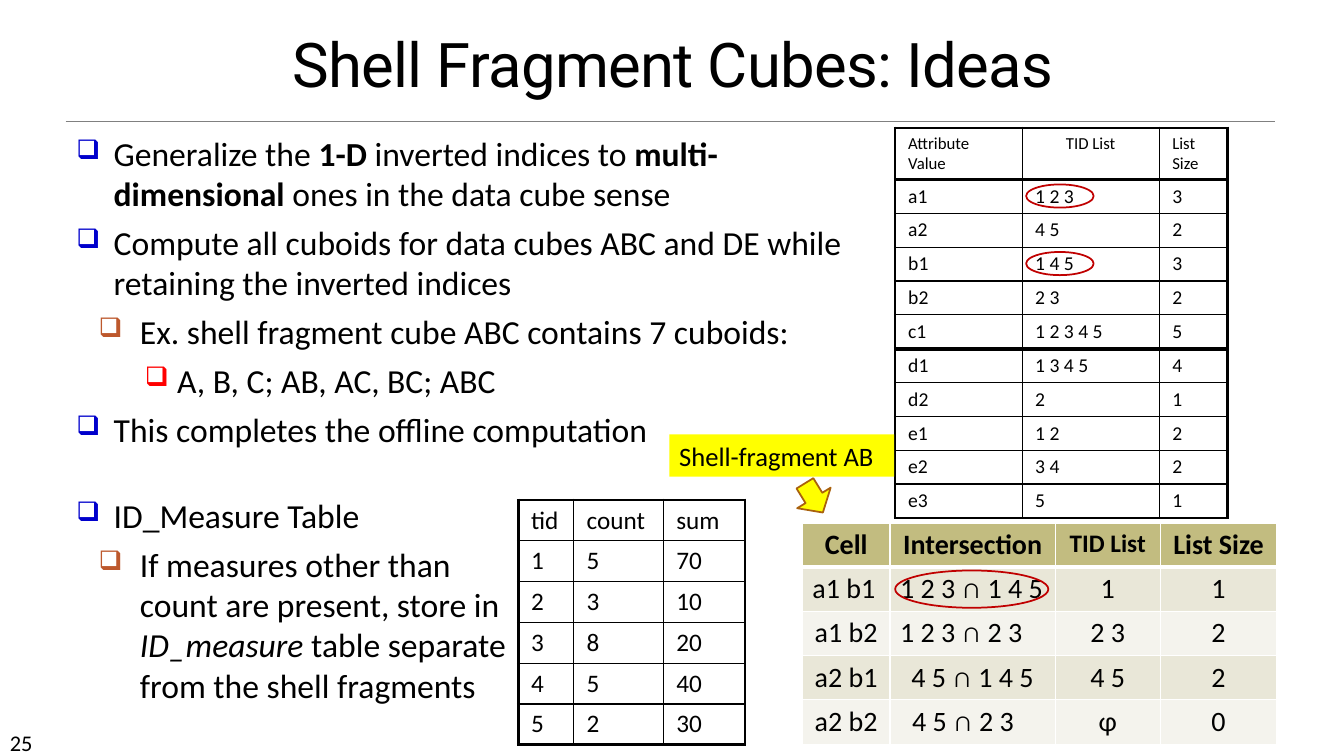
from lxml import etree
from pptx import Presentation
from pptx.dml.color import RGBColor
from pptx.enum.shapes import MSO_CONNECTOR, MSO_SHAPE
from pptx.enum.text import MSO_ANCHOR, PP_ALIGN
from pptx.oxml.ns import qn
from pptx.util import Inches, Pt

COLUMN = Inches(0.1)
ROW = Inches(0.1)
SLIDE_COLUMNS, SLIDE_ROWS = 133.33, 75

BLACK = RGBColor(0x00, 0x00, 0x00)
WHITE = RGBColor(0xFF, 0xFF, 0xFF)
GRAY = RGBColor(0x80, 0x80, 0x80)
BLUE = RGBColor(0x00, 0x00, 0xCC)
RUST = RGBColor(0xBD, 0x58, 0x2C)
RED = RGBColor(0xFF, 0x00, 0x00)
DARK_RED = RGBColor(0xC0, 0x00, 0x00)
YELLOW = RGBColor(0xFF, 0xFF, 0x00)
BROWN = RGBColor(0xA9, 0x61, 0x0D)
OLIVE = RGBColor(0xC2, 0xBC, 0x80)
BANDS = (RGBColor(0xE9, 0xE7, 0xD8), RGBColor(0xF4, 0xF3, 0xED))

LEFT, CENTER = PP_ALIGN.LEFT, PP_ALIGN.CENTER
BOTTOM = MSO_ANCHOR.BOTTOM
STRAIGHT = MSO_CONNECTOR.STRAIGHT
RECTANGLE, ELLIPSE, DOWN_ARROW = MSO_SHAPE.RECTANGLE, MSO_SHAPE.OVAL, MSO_SHAPE.DOWN_ARROW

BULLET_LEVELS = {0: (3.7, -3.7, BLUE), 1: (6.3, -4.1, RUST), 3: (10, -3.2, RED)}

IDEAS = [
    (0, [("Generalize the ", ""), ("1-D", "b"), (" inverted indices to ", ""),
         ("multi-dimensional", "b"), (" ones in the data cube sense", "")]),
    (0, [("Compute all cuboids for data cubes ABC and DE while retaining the inverted indices", "")]),
    (1, [("Ex. shell fragment cube ABC contains 7 cuboids:", "")]),
    (3, [("A, B, C; AB, AC, BC; ABC", "")]),
    (0, [("This completes the offline computation", "")]),
]
MEASURE_NOTES = [
    (0, [("ID_Measure Table", "")]),
    (1, [("If measures other than count are present, store in ", ""), ("ID_measure", "i"),
         (" table separate from the shell fragments", "")]),
]
INVERTED_INDEX = [
    ("Attribute Value", "TID List", "List Size"),
    ("a1", "1 2 3", "3"), ("a2", "4 5", "2"), ("b1", "1 4 5", "3"), ("b2", "2 3", "2"),
    ("c1", "1 2 3 4 5", "5"), ("d1", "1 3 4 5", "4"), ("d2", "2", "1"),
    ("e1", "1 2", "2"), ("e2", "3 4", "2"), ("e3", "5", "1"),
]
MEASURES = [
    ("tid", "count", "sum"),
    ("1", "5", "70"), ("2", "3", "10"), ("3", "8", "20"), ("4", "5", "40"), ("5", "2", "30"),
]
FRAGMENT_AB = [
    ("Cell", "Intersection", "TID List", "List Size"),
    ("a1 b1", "1 2 3 ∩ 1 4 5", "1", "1"),
    ("a1 b2", "1 2 3 ∩ 2 3", "2 3", "2"),
    ("a2 b1", "4 5 ∩ 1 4 5", "4 5", "2"),
    ("a2 b2", "4 5 ∩ 2 3", "φ", "0"),
]
LEFT_ALIGNED = {(1, 0), (1, 1), (2, 1), (4, 1)}


def place(left, top, width, height):
    return round(left * COLUMN), round(top * ROW), round(width * COLUMN), round(height * ROW)


def style(run, size, face="Calibri", marks=""):
    run.font.size = Pt(size)
    run.font.name = face
    run.font.color.rgb = BLACK
    run.font.bold = "b" in marks
    run.font.italic = "i" in marks


def add_label(slide, area, words, size, face="Calibri"):
    frame = slide.shapes.add_textbox(*place(*area)).text_frame
    frame.word_wrap = True
    frame.text = words
    style(frame.paragraphs[0].runs[0], size, face)
    return frame


def add_title(slide, words):
    frame = add_label(slide, (3.4, 2.9, 126.7, 7.5), words, 44, "Roboto")
    frame.vertical_anchor = BOTTOM
    heading = frame.paragraphs[0]
    heading.alignment = CENTER
    heading.line_spacing = 0.85
    heading.runs[0].font._element.set("spc", "-50")


def set_bullet(paragraph, level):
    indent, hanging, color = BULLET_LEVELS[level]
    paragraph.level = level
    properties = paragraph._p.get_or_add_pPr()
    properties.set("marL", str(round(indent * COLUMN)))
    properties.set("indent", str(round(hanging * COLUMN)))
    tint = etree.SubElement(properties, qn("a:buClr"))
    etree.SubElement(tint, qn("a:srgbClr"), val=str(color))
    etree.SubElement(properties, qn("a:buSzPct"), val="80000")
    etree.SubElement(properties, qn("a:buChar"), char="❑")


def add_bullets(slide, area, points):
    frame = slide.shapes.add_textbox(*place(*area)).text_frame
    frame.word_wrap = True
    for position, (level, pieces) in enumerate(points):
        paragraph = frame.add_paragraph() if position else frame.paragraphs[0]
        set_bullet(paragraph, level)
        if position:
            paragraph.space_before = Pt(6)
        for words, marks in pieces:
            run = paragraph.add_run()
            run.text = words
            style(run, 24, marks=marks)


def set_borders(cell, color, weights):
    properties = cell._tc.get_or_add_tcPr()
    for side, weight in zip("LRTB", weights):
        border = etree.SubElement(properties, qn(f"a:ln{side}"), w=str(Pt(weight)))
        fill = etree.SubElement(border, qn("a:solidFill"))
        etree.SubElement(fill, qn("a:srgbClr"), val=str(color))


def add_grid(slide, left, top, columns, rows, content, format_cell):
    area = place(left, top, sum(columns), sum(rows))
    table = slide.shapes.add_table(len(rows), len(columns), *area).table
    table.first_row = False
    table.horz_banding = False
    for column, width in zip(table.columns, columns):
        column.width = round(width * COLUMN)
    for row, height in zip(table.rows, rows):
        row.height = round(height * ROW)
    for r, record in enumerate(content):
        for c, words in enumerate(record):
            cell = table.cell(r, c)
            cell.text = words
            format_cell(cell, r, c)


def ruled_format(row_count, column_count, header_size, body_size, heavy_rules=()):
    def horizontal(rule):
        if rule in heavy_rules:
            return 3
        return 2.25 if rule in (0, row_count) else 1

    def vertical(rule):
        return 2.25 if rule in (0, column_count) else 1

    def format_cell(cell, r, c):
        cell.margin_left = cell.margin_right = round(1.3 * COLUMN)
        style(cell.text_frame.paragraphs[0].runs[0], body_size if r else header_size)
        weights = vertical(c), vertical(c + 1), horizontal(r), horizontal(r + 1)
        set_borders(cell, BLACK, weights)
        cell.fill.background()
        if cell.text_frame.text == "TID List":
            cell.text_frame.paragraphs[0].alignment = CENTER
    return format_cell


def format_fragment(cell, r, c):
    words = cell.text_frame.paragraphs[0]
    words.alignment = LEFT if (r, c) in LEFT_ALIGNED else CENTER
    style(words.runs[0], 18 if (r, c) == (0, 2) else 20, marks="" if r else "b")
    if (r, c) == (4, 1):
        cell.margin_left = round(2.2 * COLUMN)
    set_borders(cell, WHITE, (1, 1, 3 if r == 1 else 1, 1 if r else 3))
    cell.fill.solid()
    cell.fill.fore_color.rgb = BANDS[(r - 1) % 2] if r else OLIVE


def add_figure(slide, kind, area, fill=None, line=None):
    figure = slide.shapes.add_shape(kind, *place(*area))
    figure.shadow.inherit = False
    if fill is None:
        figure.fill.background()
    else:
        figure.fill.solid()
        figure.fill.fore_color.rgb = fill
    if line is None:
        figure.line.fill.background()
    else:
        figure.line.color.rgb = line
        figure.line.width = Pt(1.25)
    return figure


def add_rule(slide, left, right, top):
    start, level, width, _ = place(left, top, right - left, 0)
    rule = slide.shapes.add_connector(STRAIGHT, start, level, start + width, level)
    rule.line.color.rgb = GRAY
    rule.line.width = Pt(0.5)
    etree.SubElement(rule._element.spPr, qn("a:effectLst"))


def add_callout(slide):
    callout = add_figure(slide, RECTANGLE, (66.4, 43.1, 22.3, 4.2), YELLOW)
    callout.text_frame.text = "Shell-fragment AB"
    words = callout.text_frame.paragraphs[0]
    words.alignment = LEFT
    style(words.runs[0], 19)
    pointer = add_figure(slide, DOWN_ARROW, (78.8, 47.7, 3.9, 3.4), YELLOW, BROWN)
    pointer.rotation = 328.4


def main():
    deck = Presentation()
    _, _, deck.slide_width, deck.slide_height = place(0, 0, SLIDE_COLUMNS, SLIDE_ROWS)
    slide = deck.slides.add_slide(deck.slide_layouts[6])
    add_rule(slide, 6.5, 126.5, 12)
    add_label(slide, (0, 71.8, 11.7, 3), "25", 16)
    add_title(slide, "Shell Fragment Cubes: Ideas")
    add_bullets(slide, (6.6, 12.7, 79.6, 32), IDEAS)
    add_grid(slide, 88.8, 12.7, [12.6, 13.6, 6.8], [5.1] + [3.36] * 10, INVERTED_INDEX,
             ruled_format(11, 3, 12, 14, heavy_rules=(1, 6)))
    add_grid(slide, 79.6, 51.9, [8.7, 16.4, 10.4, 11.6], [4.3] + [4.4] * 4, FRAGMENT_AB,
             format_fragment)
    add_grid(slide, 51.4, 49.6, [5.5, 8.9, 8.1], [4.05] * 6, MEASURES,
             ruled_format(6, 3, 18, 18))
    add_bullets(slide, (6.6, 48.6, 45.8, 23.1), MEASURE_NOTES)
    add_callout(slide)
    for area in ((101.8, 18.3, 6.7, 2.3), (101.8, 25, 6.7, 2.3), (88.8, 56.6, 15.2, 3.7)):
        add_figure(slide, ELLIPSE, area, line=DARK_RED)
    deck.save("out.pptx")


if __name__ == "__main__":
    main()
